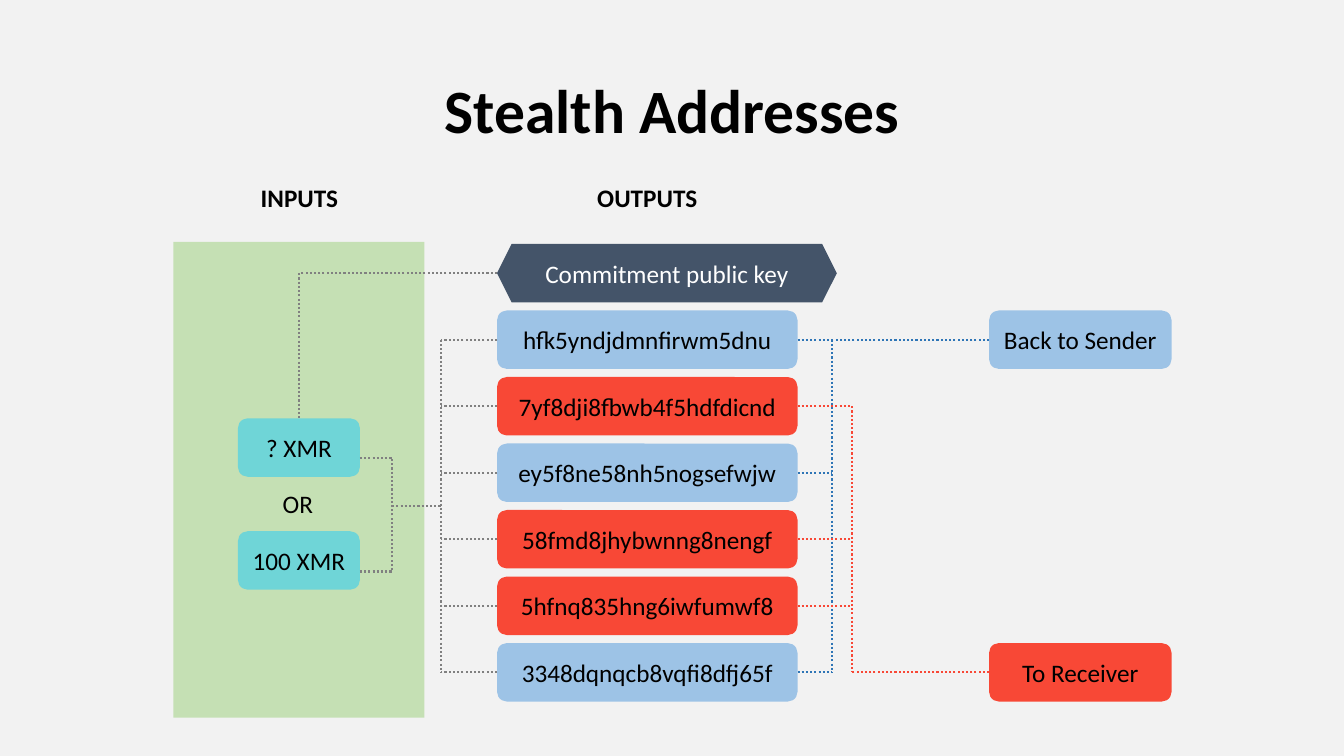
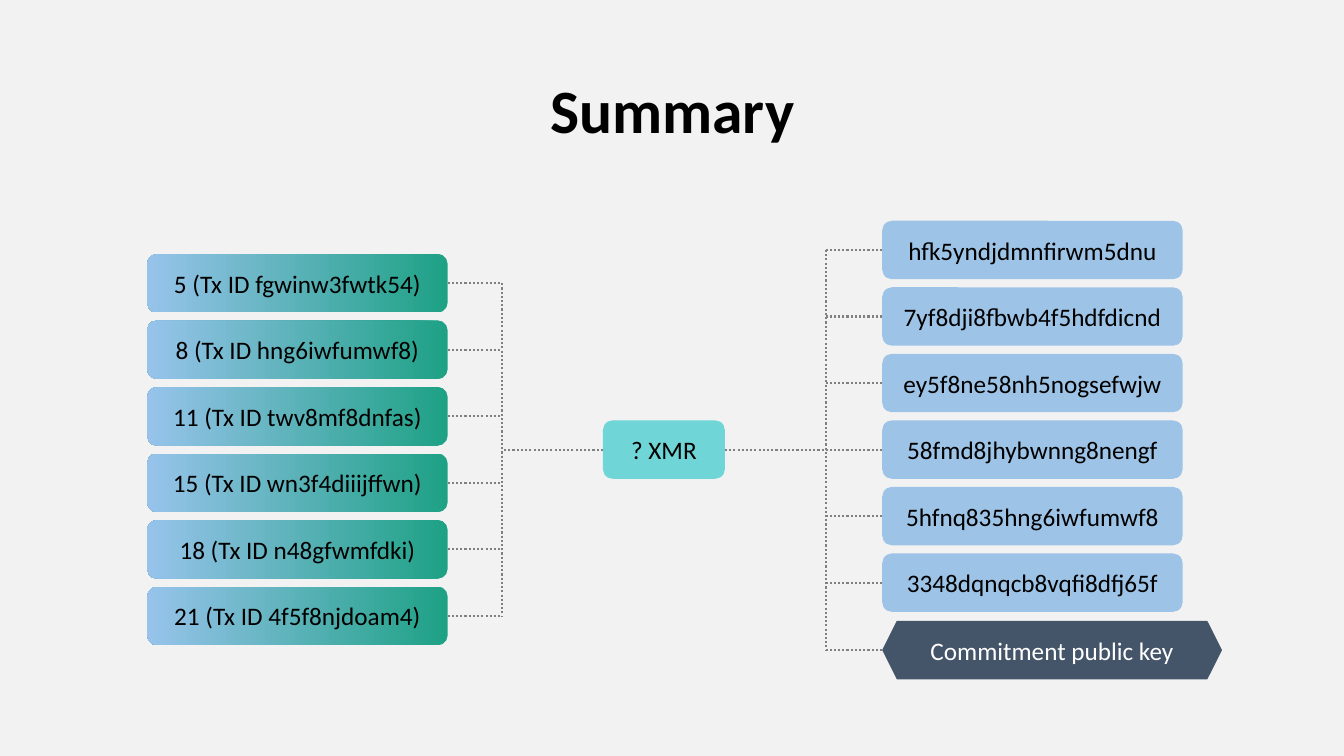
import lxml.etree
import pptx
import pptx.dml.color
import pptx.enum.dml
import pptx.enum.shapes
import pptx.enum.text
import pptx.oxml.ns
import pptx.util

Inches = pptx.util.Inches
Pt = pptx.util.Pt
RGB = pptx.dml.color.RGBColor
SHAPE = pptx.enum.shapes.MSO_SHAPE
LINK = pptx.enum.shapes.MSO_CONNECTOR
ALIGN = pptx.enum.text.PP_ALIGN
ANCHOR = pptx.enum.text.MSO_ANCHOR

# Shared style
PAPER = RGB(0xF2, 0xF2, 0xF2)
BLACK = RGB(0x00, 0x00, 0x00)
WHITE = RGB(0xFF, 0xFF, 0xFF)
GRAY = RGB(0x80, 0x80, 0x80)
NAVY = RGB(0x44, 0x54, 0x69)
SKY = RGB(0x9D, 0xC3, 0xE6)
BLUE = RGB(0x2E, 0x75, 0xB6)
RED = RGB(0xF8, 0x48, 0x36)
AQUA = RGB(0x6F, 0xD5, 0xD7)
LEAF = RGB(0xC5, 0xE0, 0xB4)
TEAL = RGB(0x1E, 0xA1, 0x85)
PALE = RGB(0x97, 0xC3, 0xEB)
FONT = "Calibri"

# Box sizes and the step from box to box, in inches
WIDE, SMALL, HIGH, STEP = 2.98, 1.21, 0.58, 0.66
LEFT, RIGHT = 1, 3

KEYS = ["hfk5yndjdmnfirwm5dnu", "7yf8dji8fbwb4f5hdfdicnd",
        "ey5f8ne58nh5nogsefwjw", "58fmd8jhybwnng8nengf",
        "5hfnq835hng6iwfumwf8", "3348dqnqcb8vqfi8dfj65f"]
SOURCES = ["5 (Tx ID fgwinw3fwtk54)", "8 (Tx ID hng6iwfumwf8)",
           "11 (Tx ID twv8mf8dnfas)", "15 (Tx ID wn3f4diiijffwn)",
           "18 (Tx ID n48gfwmfdki)", "21 (Tx ID 4f5f8njdoam4)"]


def write(frame, text, size=18, color=BLACK, bold=False):
    frame.text = text
    para = frame.paragraphs[0]
    para.alignment = ALIGN.CENTER
    font = para.runs[0].font
    font.name, font.size, font.bold = FONT, Pt(size), bold
    font.color.rgb = color
    return para


def start(deck, title):
    slide = deck.slides.add_slide(deck.slide_layouts[5])
    frame = slide.shapes.title.text_frame
    frame.vertical_anchor = ANCHOR.MIDDLE
    write(frame, title, 44, bold=True).line_spacing = 0.9
    return slide


def label(slide, text, left, top, width, bold=False):
    area = slide.shapes.add_textbox(
        Inches(left), Inches(top), Inches(width), Inches(0.4))
    area.text_frame.word_wrap = False
    write(area.text_frame, text, bold=bold)


def block(slide, kind, left, top, width, high, fill):
    shape = slide.shapes.add_shape(
        kind, Inches(left), Inches(top), Inches(width), Inches(high))
    shape.shadow.inherit = False
    shape.line.fill.background()
    shape.fill.solid()
    shape.fill.fore_color.rgb = fill
    return shape


def box(slide, text, left, top, width, fill,
        kind=SHAPE.ROUNDED_RECTANGLE, color=BLACK):
    shape = block(slide, kind, left, top, width, HIGH, fill)
    shape.text_frame.vertical_anchor = ANCHOR.MIDDLE
    write(shape.text_frame, text, color=color)
    return shape


def pledge(slide, left, top):
    return box(slide, "Commitment public key", left, top, 3.37, NAVY,
               SHAPE.HEXAGON, WHITE)


def stack(slide, texts, left, top, fills):
    return [box(slide, text, left, top + row * STEP, WIDE, fill)
            for row, (text, fill) in enumerate(zip(texts, fills))]


def blend(shape):
    shape.fill.gradient()
    shape.fill.gradient_angle = 180
    for stop, color in zip(shape.fill.gradient_stops, (TEAL, PALE)):
        stop.color.rgb = color


def wire(slide, x1, y1, x2, y2, color=GRAY, bent=False):
    kind = LINK.ELBOW if bent else LINK.STRAIGHT
    line = slide.shapes.add_connector(kind, x1, y1, x2, y2)
    line.line.color.rgb = color
    line.line.width = Pt(1.5)
    line.line.dash_style = pptx.enum.dml.MSO_LINE.ROUND_DOT
    props = line._element.spPr
    if bent:  # one corner: first across, then up or down
        props.prstGeom.set("prst", "bentConnector2")
    lxml.etree.SubElement(props, pptx.oxml.ns.qn("a:effectLst"))
    return line


def fan(slide, ends, x, color=GRAY):
    """Join (box, side) pairs to an upright line at x."""
    x = Inches(x)
    rows = [shape.top + shape.height // 2 for shape, _ in ends]
    wire(slide, x, min(rows), x, max(rows), color)
    for (shape, side), y in zip(ends, rows):
        edge = shape.left + (shape.width if side == RIGHT else 0)
        line = wire(slide, edge, y, x, y, color)
        if shape.auto_shape_type == SHAPE.ROUNDED_RECTANGLE:
            line.begin_connect(shape, side)


def inputs(slide, left, top):
    block(slide, SHAPE.RECTANGLE, left, top, 2.49, 4.72, LEAF)
    label(slide, "INPUTS", left + 0.76, top - 0.64, 0.98, True)
    near = left + 0.64
    box(slide, "? XMR", near, top + 1.75, SMALL, AQUA)
    label(slide, "OR", left + 0.98, top + 2.4, 0.51)
    box(slide, "100 XMR", near, top + 2.87, SMALL, AQUA)
    # Both amounts meet, then lead on to the outputs
    edge, meet = Inches(near + SMALL), Inches(left + 2.17)
    mid = Inches(top + 2.62)
    for drop in (2.14, 3.27):
        wire(slide, edge, Inches(top + drop), meet, mid, bent=True)
    wire(slide, meet, mid, Inches(left + 2.65), mid)


def outputs(slide, left, top):
    label(slide, "OUTPUTS", left + 0.89, top - 0.66, 1.2, True)
    key = pledge(slide, left, top)
    wire(slide, key.left, key.top + key.height // 2,
         Inches(left - 1.96), Inches(top + 1.73), bent=True)
    fills = [SKY, RED, SKY, RED, RED, SKY]
    keys = stack(slide, KEYS, left, top + STEP, fills)
    fan(slide, [(key, LEFT) for key in keys], left - 0.56)
    # Who gets which output
    goals = [("Back to Sender", 1, SKY, BLUE, 3.32),
             ("To Receiver", 6, RED, RED, 3.52)]
    for text, row, fill, color, gap in goals:
        goal = box(slide, text, left + 4.88, top + row * STEP, 1.81, fill)
        own = [(key, RIGHT) for key, tint in zip(keys, fills)
               if tint == fill]
        fan(slide, own + [(goal, LEFT)], left + gap, color)


def stealth(deck):
    slide = start(deck, "Stealth Addresses")
    inputs(slide, 1.72, 2.4)
    outputs(slide, 4.93, 2.42)


def summary(deck):
    slide = start(deck, "Summary")
    olds = stack(slide, SOURCES, 1.46, 2.52, [TEAL] * 6)
    for old in olds:
        blend(old)
    news = stack(slide, KEYS, 8.75, 2.19, [SKY] * 6)
    news.append(pledge(slide, 8.75, 6.16))
    hub = box(slide, "? XMR", 5.98, 4.17, SMALL, AQUA)
    fan(slide, [(old, RIGHT) for old in olds] + [(hub, LEFT)], 4.98)
    fan(slide, [(new, LEFT) for new in news] + [(hub, RIGHT)], 8.19)


def main():
    deck = pptx.Presentation()
    deck.slide_width, deck.slide_height = Inches(13.33), Inches(7.5)
    paper = deck.slide_master.background.fill
    paper.solid()
    paper.fore_color.rgb = PAPER
    # Title place for all slides
    head = deck.slide_layouts[5].placeholders[0]
    head.left, head.top = Inches(0.92), Inches(0.4)
    head.width, head.height = Inches(11.5), Inches(1.45)
    stealth(deck)
    summary(deck)
    deck.save("out.pptx")


if __name__ == "__main__":
    main()
